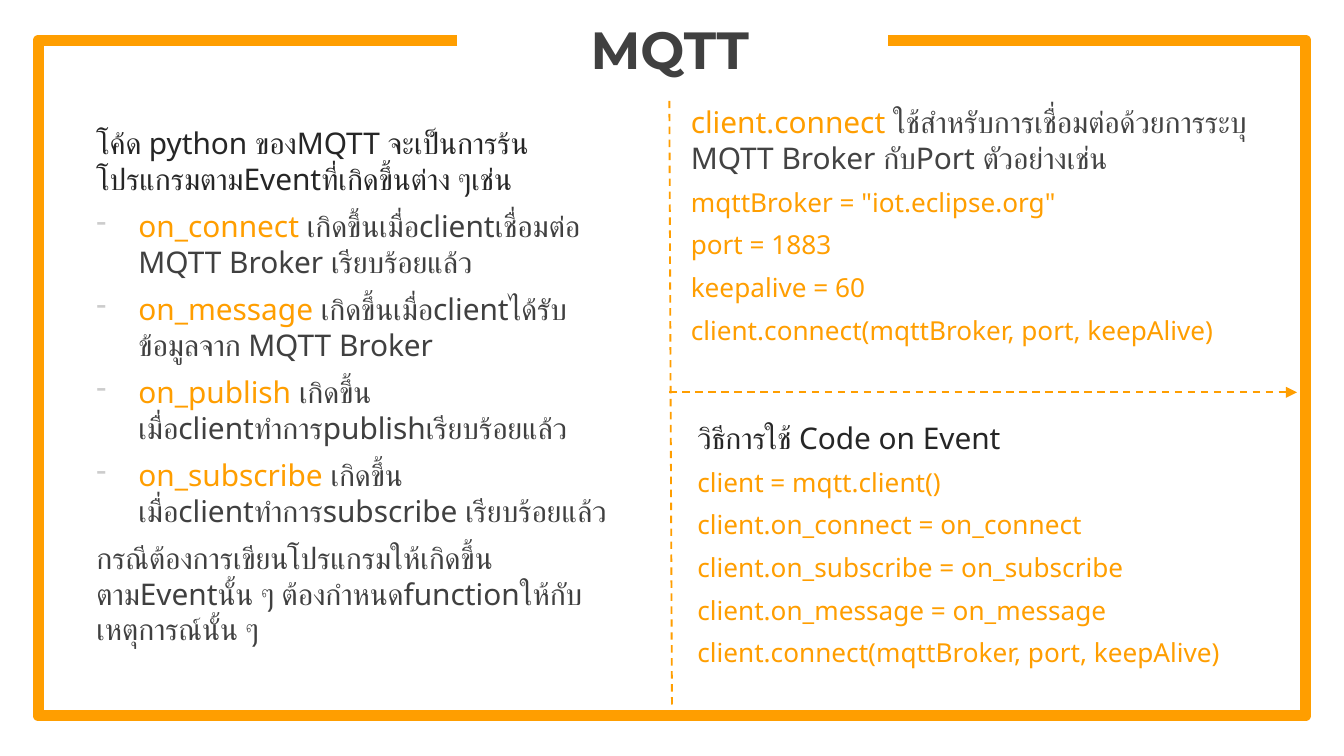
from lxml import etree
from pptx import Presentation
from pptx.dml.color import RGBColor
from pptx.enum.dml import MSO_LINE
from pptx.enum.shapes import MSO_CONNECTOR, MSO_SHAPE
from pptx.enum.text import MSO_ANCHOR, PP_ALIGN
from pptx.oxml.ns import qn
from pptx.util import Pt

STRAIGHT = MSO_CONNECTOR.STRAIGHT
RECTANGLE = MSO_SHAPE.RECTANGLE
DASH = MSO_LINE.DASH
TOP = MSO_ANCHOR.TOP
LEFT, CENTER = PP_ALIGN.LEFT, PP_ALIGN.CENTER

ORANGE = RGBColor(0xFF, 0x9E, 0x00)
WHITE = RGBColor(0xFF, 0xFF, 0xFF)
BLACK = RGBColor(0x26, 0x26, 0x26)
DARK = RGBColor(0x40, 0x40, 0x40)
GREY = RGBColor(0x43, 0x43, 0x43)
BULLET_GREY = "CCCCCC"

INSET = 7.2
BULLET_INDENT = 22.5


def add_panel(left, top, width, height, paragraphs):
    """Add a white text panel; each paragraph is (size, bulleted, [(text, colour), ...])."""
    box = page.shapes.add_shape(RECTANGLE, Pt(left), Pt(top), Pt(width), Pt(height))
    box.shadow.inherit = False
    box.fill.solid()
    box.fill.fore_color.rgb = WHITE
    box.line.fill.background()
    frame = box.text_frame
    frame.word_wrap = True
    frame.vertical_anchor = TOP
    frame.margin_left = frame.margin_right = Pt(INSET)
    frame.margin_top = frame.margin_bottom = Pt(INSET)
    for index, (size, bulleted, spans) in enumerate(paragraphs):
        para = frame.add_paragraph() if index else frame.paragraphs[0]
        para.alignment = LEFT
        if index:
            para.space_before = Pt(6)
        if bulleted:
            properties = para._p.get_or_add_pPr()
            properties.set("marL", str(Pt(BULLET_INDENT)))
            properties.set("indent", str(-Pt(BULLET_INDENT)))
            bullet_colour = etree.SubElement(properties, qn("a:buClr"))
            etree.SubElement(bullet_colour, qn("a:srgbClr"), val=BULLET_GREY)
            etree.SubElement(properties, qn("a:buChar"), char="-")
        para.font.name = "Noto Sans"
        para.font.size = Pt(size)
        for text, colour in spans:
            span = para.add_run()
            span.text = text
            span.font.color.rgb = colour


def add_dashed_line(start_x, start_y, end_x, end_y):
    line = page.shapes.add_connector(
        STRAIGHT, Pt(start_x), Pt(start_y), Pt(end_x), Pt(end_y))
    line.line.color.rgb = ORANGE
    line.line.width = Pt(1)
    line.line.dash_style = DASH
    etree.SubElement(line._element.spPr, qn("a:effectLst"))
    return line


deck = Presentation()
deck.slide_width, deck.slide_height = Pt(720), Pt(405)
page = deck.slides.add_slide(deck.slide_layouts[6])

# Border, open at the top around the title
builder = page.shapes.build_freeform(Pt(245), Pt(21.6))
builder.add_line_segments(
    [(Pt(x), Pt(y)) for x, y in
     [(20.5, 21.6), (20.5, 383.5), (699.5, 383.5), (699.5, 21.6), (476, 21.6)]],
    close=False)
border = builder.convert_to_shape()
border.shadow.inherit = False
border.fill.background()
border.line.color.rgb = ORANGE
border.line.width = Pt(6)

title = page.shapes.add_textbox(Pt(254), Pt(2.2), Pt(209.5), Pt(57.6))
title.text_frame.word_wrap = True
title.text_frame.margin_top = title.text_frame.margin_bottom = Pt(INSET)
heading = title.text_frame.paragraphs[0]
heading.text = "MQTT"
heading.alignment = CENTER
heading.font.name = "Montserrat"
heading.font.size = Pt(28)
heading.font.bold = True
heading.font.color.rgb = DARK

connect_code = [
    'mqttBroker = "iot.eclipse.org"',
    "port = 1883",
    "keepalive = 60",
    "client.connect(mqttBroker, port, keepAlive)",
]
event_code = [
    "client = mqtt.client()",
    "client.on_connect = on_connect",
    "client.on_subscribe = on_subscribe",
    "client.on_message = on_message",
    "client.connect(mqttBroker, port, keepAlive)",
]
events = [
    ("on_connect ", "เกิดขึ้นเมื่อclientเชื่อมต่อ MQTT Broker เรียบร้อยแล้ว"),
    ("on_message ", "เกิดขึ้นเมื่อclientได้รับข้อมูลจาก MQTT Broker"),
    ("on_publish ", "เกิดขึ้นเมื่อclientทำการpublishเรียบร้อยแล้ว"),
    ("on_subscribe ", "เกิดขึ้นเมื่อclientทำการsubscribe เรียบร้อยแล้ว"),
]

connect_intro = [
    ("client.connect ", ORANGE),
    ("ใช้สำหรับการเชื่อมต่อด้วยการระบุ MQTT Broker กับPort ตัวอย่างเช่น", GREY),
]
add_panel(363, 48.2, 328.3, 156.2,
          [(16, False, connect_intro)]
          + [(14, False, [(code, ORANGE)]) for code in connect_code])

events_intro = "โค้ด python ของMQTT จะเป็นการร้นโปรแกรมตามEventที่เกิดขึ้นต่าง ๆเช่น"
events_note = ("กรณีต้องการเขียนโปรแกรมให้เกิดขึ้นตามEventนั้น ๆ "
               "ต้องกำหนดfunctionให้กับเหตุการณ์นั้น ๆ")
add_panel(44.6, 59.8, 289.4, 317.5,
          [(16, False, [(events_intro, BLACK)])]
          + [(16, True, [(name, ORANGE), (meaning, DARK)]) for name, meaning in events]
          + [(16, False, [(events_note, DARK)])])

add_dashed_line(358.6, 54, 360, 383.5)
divider = add_dashed_line(358.6, 210.2, 694.8, 210.2)
etree.SubElement(divider.line._get_or_add_ln(), qn("a:tailEnd"), type="triangle")

add_panel(366.5, 217.4, 328.3, 152.6,
          [(16, False, [("วิธีการใช้ Code on Event", BLACK)])]
          + [(14, False, [(code, ORANGE)]) for code in event_code])

deck.save("out.pptx")
